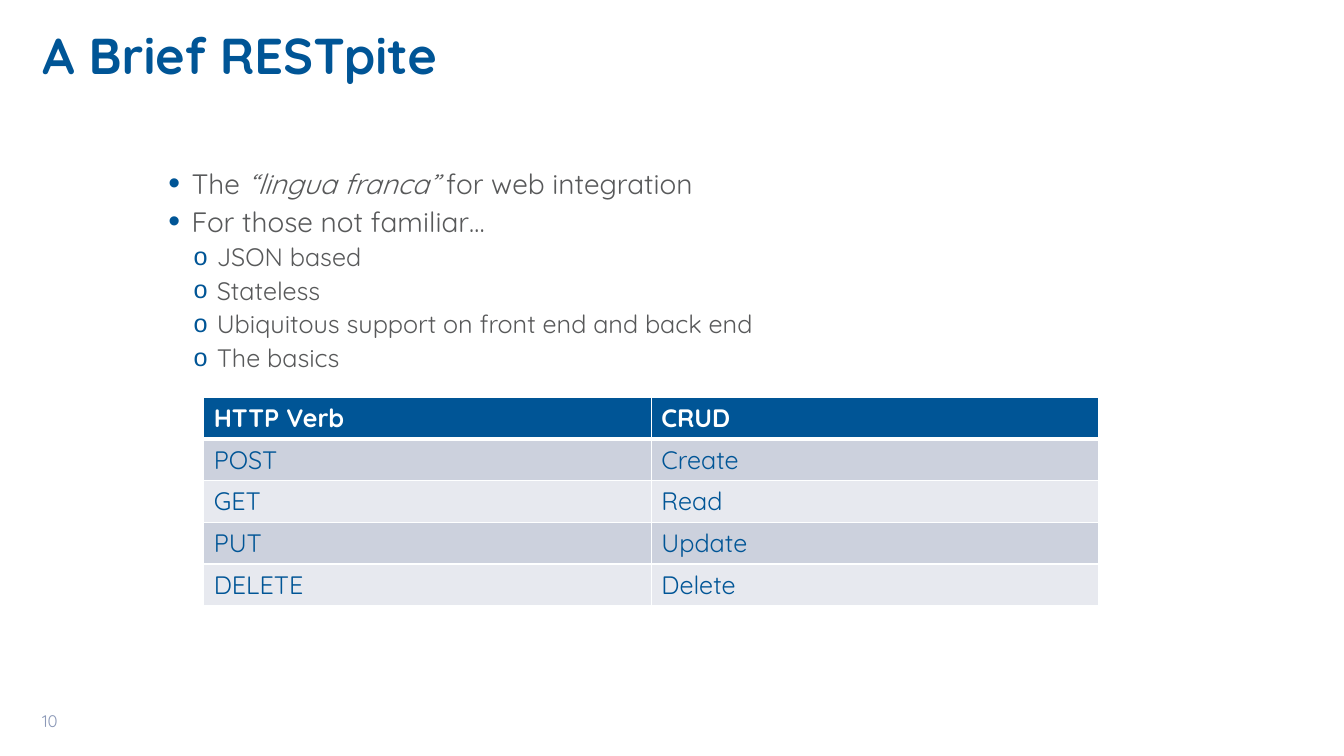
from lxml.etree import SubElement
from pptx import Presentation
from pptx.dml.color import RGBColor
from pptx.enum.text import MSO_ANCHOR as Anchor, MSO_AUTO_SIZE as AutoSize, PP_ALIGN as Align
from pptx.oxml.ns import qn
from pptx.util import Pt

PX = 9144
BLUE, GREY, WHITE = "005596", "58595A", "FEFFFF"
BANDS = ["CCD1DD", "E7E9EF"]
POINTS = [
    (0, ["The ", "“lingua franca” ", "for web integration"]),
    (0, ["For those not familiar…"]),
    (1, ["JSON based"]),
    (1, ["Stateless"]),
    (1, ["Ubiquitous support on front end and back end"]),
    (1, ["The basics"]),
]
LEVELS = [
    {"bullet": "•", "bullet_size": 120, "margin": 28, "size": 20, "before": 3},
    {"bullet": "o", "bullet_size": 100, "margin": 53, "size": 18, "before": 2.5},
]
VERBS = [
    ("HTTP Verb", "CRUD"),
    ("POST", "Create"),
    ("GET", "Read"),
    ("PUT", "Update"),
    ("DELETE", "Delete"),
]


def color(value):
    return RGBColor.from_string(value)


def add_text(para, text, size, fill, bold=False, italic=False):
    span = para.add_run()
    span.text = text
    font = span.font
    font.name, font.size = "Quicksand", Pt(size)
    font.bold, font.italic = bold, italic
    font.color.rgb = color(fill)


def place(shape, box, anchor):
    shape.left, shape.top, shape.width, shape.height = [side * PX for side in box]
    frame = shape.text_frame
    frame.word_wrap = True
    frame.auto_size = AutoSize.NONE
    frame.vertical_anchor = anchor
    return frame


def add_bullet(para, level):
    style = LEVELS[level]
    para.level = level
    props = para._p.get_or_add_pPr()
    props.set("marL", str(style["margin"] * PX))
    props.set("indent", str(-23 * PX))
    tint = SubElement(props, qn("a:buClr"))
    SubElement(tint, qn("a:srgbClr"), val=BLUE)
    SubElement(props, qn("a:buSzPct"), val=str(style["bullet_size"] * 1000))
    SubElement(props, qn("a:buFont"), typeface="Arial")
    SubElement(props, qn("a:buChar"), char=style["bullet"])


def add_title(page, box):
    para = place(page.shapes.title, box, Anchor.MIDDLE).paragraphs[0]
    para.alignment = Align.LEFT
    add_text(para, "A Brief RESTpite", 36, BLUE, bold=True)


def add_points(page, box):
    frame = place(page.placeholders[1], box, Anchor.TOP)
    for index, (level, parts) in enumerate(POINTS):
        para = frame.add_paragraph() if index else frame.paragraphs[0]
        add_bullet(para, level)
        para.space_before = Pt(LEVELS[level]["before"] if index else 0)
        for part in parts:
            add_text(para, part, LEVELS[level]["size"], GREY, italic=part.startswith("“"))


def add_borders(cell, row):
    props = cell._tc.get_or_add_tcPr()
    widths = {"L": 1, "R": 1, "T": 3 if row == 1 else 1, "B": 3 if row == 0 else 1}
    for side, width in widths.items():
        line = SubElement(props, qn("a:ln" + side), w=str(Pt(width)))
        fill = SubElement(line, qn("a:solidFill"))
        SubElement(fill, qn("a:srgbClr"), val=WHITE)


def add_verbs(page, box):
    sides = [side * PX for side in box]
    table = page.shapes.add_table(len(VERBS), len(VERBS[0]), *sides).table
    for row, words in enumerate(VERBS):
        header = row == 0
        for column, word in enumerate(words):
            cell = table.cell(row, column)
            add_borders(cell, row)
            cell.fill.solid()
            cell.fill.fore_color.rgb = color(BLUE if header else BANDS[(row - 1) % 2])
            add_text(cell.text_frame.paragraphs[0], word, 18, WHITE if header else BLUE, bold=header)


def add_number(page, box):
    shape = page.shapes.add_textbox(0, 0, 0, 0)
    add_text(place(shape, box, Anchor.MIDDLE).paragraphs[0], "10", 12, "8C99B8")


def main():
    deck = Presentation()
    deck.slide_width, deck.slide_height = 1333 * PX, 750 * PX
    page = deck.slides.add_slide(deck.slide_layouts[1])
    add_title(page, (32, 18, 1272, 72))
    add_points(page, (152, 160, 988, 491))
    add_number(page, (32, 695, 84, 40))
    add_verbs(page, (202, 394, 888, 205))
    deck.save("out.pptx")


if __name__ == "__main__":
    main()
